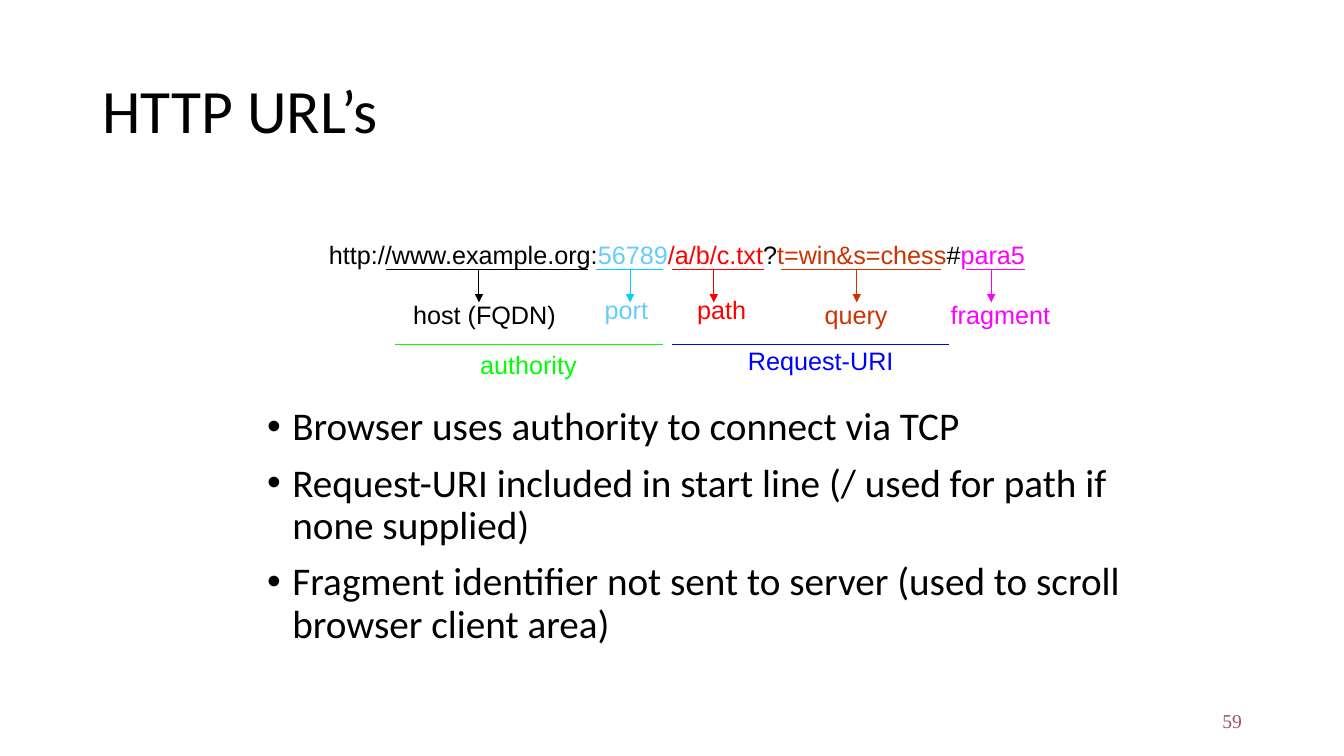
from lxml.etree import SubElement
from pptx import Presentation
from pptx.dml.color import RGBColor
from pptx.enum.shapes import MSO_CONNECTOR
from pptx.enum.text import MSO_ANCHOR, MSO_AUTO_SIZE, PP_ALIGN
from pptx.oxml.ns import qn
from pptx.util import Cm, Pt

BLACK, SKY, CYAN, RED = "000000", "66CCFF", "00CCFF", "FF0000"
RUST, MAGENTA, GREEN, BLUE = "CC3300", "FF00FF", "00FF00", "0000FF"


def add_text(box, runs, size, font, wrap=False):
    frame = box.text_frame
    frame.word_wrap = wrap
    frame.auto_size = MSO_AUTO_SIZE.NONE if wrap else MSO_AUTO_SIZE.SHAPE_TO_FIT_TEXT
    paragraph = frame.paragraphs[0]
    for words, color in runs:
        run = paragraph.add_run()
        run.text = words
        run.font.size = Pt(size)
        run.font.name = font
        run.font.color.rgb = RGBColor.from_string(color)
    return paragraph


def add_line(x1, y1, x2, y2, color, arrow=False):
    line = slide.shapes.add_connector(
        MSO_CONNECTOR.STRAIGHT, Cm(x1), Cm(y1), Cm(x2), Cm(y2))
    line.line.color.rgb = RGBColor.from_string(color)
    line.line.width = Pt(0.75)
    properties = line._element.spPr
    if arrow:
        SubElement(properties.find(qn("a:ln")), qn("a:tailEnd"), type="triangle")
    SubElement(properties, qn("a:effectLst"))


presentation = Presentation()
presentation.slide_width, presentation.slide_height = Cm(33.87), Cm(19.05)
slide = presentation.slides.add_slide(presentation.slide_layouts[5])

page_number = slide.shapes.add_textbox(Cm(23.93), Cm(17.66), Cm(7.62), Cm(1.01))
page_number.text_frame.vertical_anchor = MSO_ANCHOR.MIDDLE
add_text(page_number, [("59", "954F72")], 14, "Times New Roman", True).alignment = PP_ALIGN.RIGHT

title = slide.shapes.title
title.left, title.top, title.width, title.height = Cm(2.33), Cm(1.01), Cm(29.21), Cm(3.68)
title.text_frame.vertical_anchor = MSO_ANCHOR.MIDDLE
heading = add_text(title, [("HTTP URL’s", BLACK)], 44, "Calibri", True)
heading.alignment = PP_ALIGN.LEFT
heading.line_spacing = 0.9

url = slide.shapes.add_textbox(Cm(8.04), Cm(5.91), Cm(18.08), Cm(1.03))
add_text(url, [
    ("http://www.example.org:", BLACK), ("56789", SKY), ("/a/b/c.txt", RED), ("?", BLACK),
    ("t=win&s=chess", RUST), ("#", BLACK), ("para5", MAGENTA),
], 18, "Arial")

underline_y, arrow_tip_y, group_y = 6.78, 7.62, 8.68
url_parts = [
    ("host (FQDN)", BLACK, BLACK, 9.74, 14.82, 12.07, 10.16, 7.42, 4.11),
    ("port", SKY, CYAN, 15.03, 16.72, 15.88, 14.99, 7.29, 1.6),
    ("path", RED, RED, 16.93, 19.26, 17.99, 17.32, 7.29, 1.75),
    ("query", RUST, RUST, 19.69, 23.71, 21.59, 20.53, 7.42, 2.11),
    ("fragment", MAGENTA, MAGENTA, 24.34, 25.82, 24.98, 23.71, 7.42, 3.02),
]
for name, color, line_color, start, end, arrow_x, left, top, width in url_parts:
    add_line(start, underline_y, end, underline_y, line_color)
    add_line(arrow_x, underline_y, arrow_x, arrow_tip_y, line_color, arrow=True)
    label = slide.shapes.add_textbox(Cm(left), Cm(top), Cm(width), Cm(1.03))
    add_text(label, [(name, color)], 18, "Arial")

url_groups = [
    ("authority", GREEN, 9.95, 16.72, 11.85, 8.68, 2.95),
    ("Request-URI", BLUE, 16.93, 23.92, 18.6, 8.57, 4.19),
]
for name, color, start, end, left, top, width in url_groups:
    add_line(start, group_y, end, group_y, color)
    label = slide.shapes.add_textbox(Cm(left), Cm(top), Cm(width), Cm(1.03))
    add_text(label, [(name, color)], 18, "Arial")

notes_on_use = slide.shapes.add_textbox(Cm(6.48), Cm(10.13), Cm(22.1), Cm(6.78))
notes_on_use.text_frame.word_wrap = True
statements = [
    "Browser uses authority to connect via TCP",
    "Request-URI included in start line (/ used for path if none supplied)",
    "Fragment identifier not sent to server (used to scroll browser client area)",
]
for index, statement in enumerate(statements):
    frame = notes_on_use.text_frame
    point = frame.add_paragraph() if index else frame.paragraphs[0]
    point.line_spacing = 0.9
    point.space_before = Pt(10)
    run = point.add_run()
    run.text = statement
    run.font.size = Pt(28)
    run.font.name = "Calibri"
    run.font.color.rgb = RGBColor.from_string(BLACK)
    properties = point._p.get_or_add_pPr()
    properties.set("marL", str(Cm(0.64)))
    properties.set("indent", str(Cm(-0.64)))
    SubElement(properties, qn("a:buFont"), typeface="Arial")
    SubElement(properties, qn("a:buChar"), char="•")

presentation.save("out.pptx")
